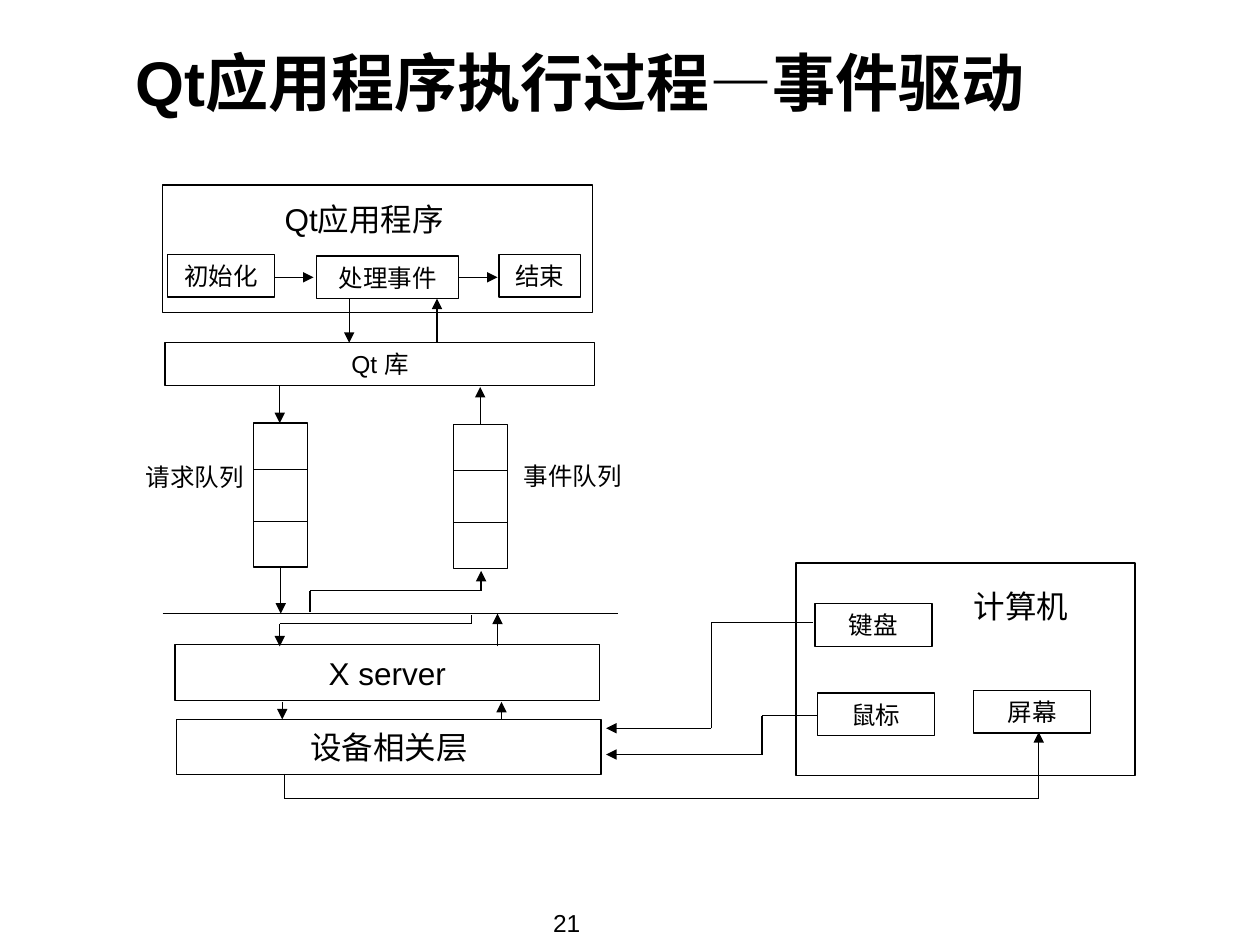
import itertools
import pptx
import pptx.util
import pptx.dml.color
import pptx.enum.shapes
import pptx.enum.text
import pptx.oxml
import pptx.oxml.ns

Cm = pptx.util.Cm
Pt = pptx.util.Pt
ALIGN = pptx.enum.text.PP_ALIGN
INK = "000000"


def paint(color, value):
    color.rgb = pptx.dml.color.RGBColor.from_string(value)


def write(shape, text, size, align, bold=False):
    frame = shape.text_frame
    frame.word_wrap = True
    frame.vertical_anchor = pptx.enum.text.MSO_ANCHOR.MIDDLE
    frame.text = text
    line = frame.paragraphs[0]
    line.alignment = align
    for run in line.runs:
        run.font.name = "Arial"
        run.font.size = Pt(size)
        run.font.bold = bold
        paint(run.font.color, INK)


def label(slide, place, text, size=14, bold=False):
    shape = slide.shapes.add_textbox(*map(Cm, place))
    write(shape, text, size, ALIGN.LEFT, bold)


def box(slide, place, text="", size=14):
    kind = pptx.enum.shapes.MSO_SHAPE.RECTANGLE
    shape = slide.shapes.add_shape(kind, *map(Cm, place))
    shape.shadow.inherit = False
    shape.fill.background()
    paint(shape.line.color, INK)
    shape.line.width = Pt(0.75)
    if text:
        write(shape, text, size, ALIGN.CENTER)


def wire(slide, start, end, arrow=False):
    kind = pptx.enum.shapes.MSO_CONNECTOR.STRAIGHT
    line = slide.shapes.add_connector(kind, *map(Cm, start + end))
    paint(line.line.color, INK)
    line.line.width = Pt(0.75)
    props = line._element.spPr
    if arrow:
        tail = pptx.oxml.parse_xml(
            '<a:tailEnd xmlns:a="http://schemas.openxmlformats.org/drawingml/2006/main"'
            ' type="triangle"/>')
        props.find(pptx.oxml.ns.qn("a:ln")).append(tail)
    props.append(pptx.oxml.parse_xml(
        '<a:effectLst xmlns:a="http://schemas.openxmlformats.org/drawingml/2006/main"/>'))


def route(slide, points):
    for start, end in itertools.pairwise(points):
        wire(slide, start, end, arrow=end == points[-1])


def queue(slide, left, top):
    width = 1.09
    box(slide, (left, top, width, 2.9))
    for step in (0.93, 1.98):
        wire(slide, (left, top + step), (left + width, top + step))


def draw_app(slide):
    box(slide, (3.28, 3.73, 8.66, 2.57))
    label(slide, (5.49, 3.86, 4.24, 1.09), "Qt应用程序", 18)
    for left, top, width, text in (
            (3.38, 5.13, 2.16, "初始化"),
            (6.38, 5.16, 2.87, "处理事件"),
            (10.06, 5.13, 1.65, "结束")):
        box(slide, (left, top, width, 0.86), text)
    for start, end in ((5.54, 6.32), (9.25, 10.03)):
        wire(slide, (start, 5.59), (end, 5.59), True)
    box(slide, (3.33, 6.91, 8.66, 0.86), "Qt 库")


def draw_queues(slide):
    queue(slide, 5.11, 8.53)
    queue(slide, 9.14, 8.56)
    label(slide, (2.69, 9.19, 2.54, 0.84), "请求队列")
    label(slide, (10.31, 9.17, 2.54, 0.84), "事件队列")


def draw_server(slide):
    wire(slide, (3.28, 12.37), (12.45, 12.37))
    box(slide, (3.53, 13, 8.56, 1.12), "X server", 18)
    box(slide, (3.56, 14.5, 8.56, 1.12), "设备相关层", 18)


def draw_host(slide):
    box(slide, (16.05, 11.35, 6.83, 4.29))
    label(slide, (19.38, 11.68, 3.3, 1.09), "计算机", 18)
    for left, top, text in (
            (16.43, 12.17, "键盘"),
            (16.48, 13.97, "鼠标"),
            (19.63, 13.92, "屏幕")):
        box(slide, (left, top, 2.36, 0.86), text)


def draw_flow(slide):
    for left, start, end in (
            (7.04, 6.02, 6.91), (8.81, 6.91, 6.02),
            (5.64, 7.77, 8.53), (9.68, 8.56, 7.8),
            (5.66, 11.46, 12.37), (10.03, 13.03, 12.37),
            (5.69, 14.15, 14.5), (10.11, 14.5, 14.15)):
        wire(slide, (left, start), (left, end), True)
    for points in (
            ((6.25, 12.34), (6.25, 11.91), (9.7, 11.91), (9.7, 11.51)),
            ((9.5, 12.4), (9.5, 12.57), (5.64, 12.57), (5.64, 13.03)),
            ((16.38, 12.55), (14.34, 12.55), (14.34, 14.68), (12.22, 14.68)),
            ((16.48, 14.43), (15.36, 14.43), (15.36, 15.21), (12.22, 15.21)),
            ((5.74, 15.6), (5.74, 16.1), (20.94, 16.1), (20.94, 14.76))):
        route(slide, points)


def main():
    deck = pptx.Presentation()
    deck.slide_width = Cm(25.4)
    deck.slide_height = Cm(19.05)
    slide = deck.slides.add_slide(deck.slide_layouts[6])
    label(slide, (10.9, 18.16, 4.8, 0.89), "21")
    label(slide, (2.49, 0.53, 19.51, 2.21), "Qt应用程序执行过程—事件驱动", 36, True)
    draw_app(slide)
    draw_queues(slide)
    draw_server(slide)
    draw_host(slide)
    draw_flow(slide)
    deck.save("out.pptx")


if __name__ == "__main__":
    main()
